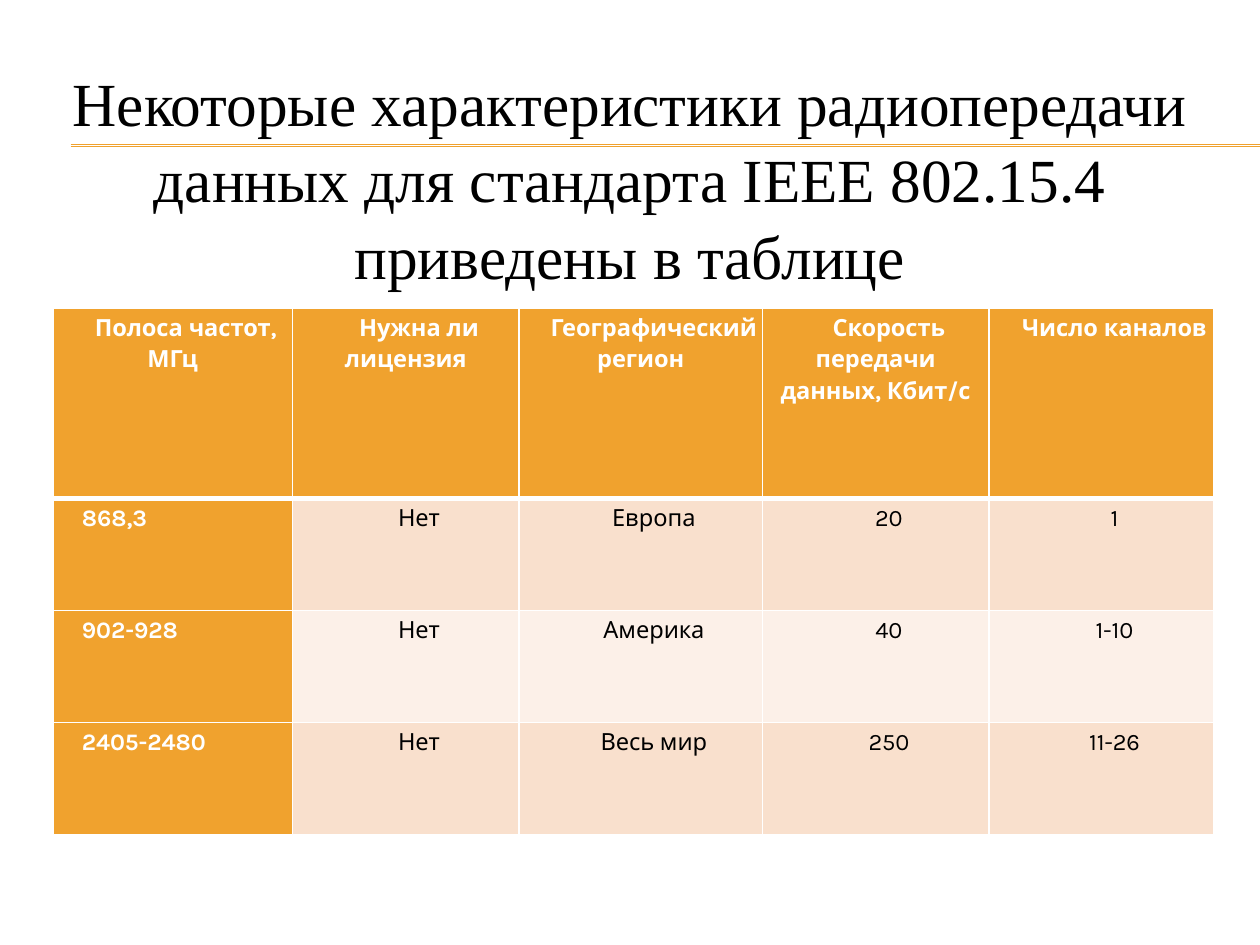
"""Build a slide with a table of IEEE 802.15.4 radio characteristics."""
from dataclasses import dataclass

from lxml.etree import SubElement
from pptx import Presentation
from pptx.dml.color import RGBColor
from pptx.enum.shapes import MSO_CONNECTOR as Connector
from pptx.enum.text import MSO_ANCHOR as Anchor, MSO_AUTO_SIZE as AutoSize, PP_ALIGN as Align
from pptx.oxml.ns import qn
from pptx.util import Inches, Pt

WIDTH, HEIGHT = Inches(10), Inches(7.5)
GOLD, WHITE, BLACK = "F0A22E", "FFFFFF", "000000"
BANDS = ("F9E0CD", "FCF0E8")
TITLE = ("Некоторые характеристики радиопередачи данных "
         "для стандарта IEEE 802.15.4 приведены в таблице")
COLUMN_WIDTHS = (1.9, 1.8, 1.93, 1.8, 1.78)
ROW_HEIGHTS = (1.51, 0.89, 0.89, 0.89)
ROWS = (
    ("Полоса частот, МГц", "Нужна ли лицензия", "Географический регион",
     "Скорость передачи данных, Кбит/с", "Число каналов"),
    ("868,3", "Нет", "Европа", "20", "1"),
    ("902-928", "Нет", "Америка", "40", "1-10"),
    ("2405-2480", "Нет", "Весь мир", "250", "11-26"),
)


@dataclass(frozen=True)
class Rule:
    left: float
    right: float
    top: float


@dataclass(frozen=True)
class CellStyle:
    fill: str
    color: str
    bold: bool
    align: Align
    bottom: float


RULES = (Rule(0.056, 1, 0.153), Rule(0.056, 1, 0.155))


def color(value: str) -> RGBColor:
    return RGBColor.from_string(value)


def across(share: float) -> int:
    return int(WIDTH * share)


def down(share: float) -> int:
    return int(HEIGHT * share)


def apply(target, values: dict) -> None:
    for name, value in values.items():
        setattr(target, name, value)


def write(paragraph, text: str, font: dict, text_color: str) -> None:
    run = paragraph.add_run()
    run.text = text
    apply(run.font, font)
    run.font.color.rgb = color(text_color)


def draw_rule(slide, rule: Rule) -> None:
    line = slide.shapes.add_connector(
        Connector.STRAIGHT, across(rule.left), down(rule.top), across(rule.right), down(rule.top))
    line.line.color.rgb = color(GOLD)
    line.line.width = Pt(0.75)
    SubElement(line._element.spPr, qn("a:effectLst"))
    slide.shapes._spTree.insert(2, line._element)


def draw_title(slide) -> None:
    title_placeholder, body = slide.placeholders
    title_placeholder._element.getparent().remove(title_placeholder._element)
    apply(body, {"left": 0, "top": down(0.059), "width": WIDTH, "height": down(0.941)})
    apply(body.text_frame, {"word_wrap": True, "auto_size": AutoSize.NONE,
                            "vertical_anchor": Anchor.TOP})
    paragraph = body.text_frame.paragraphs[0]
    apply(paragraph, {"alignment": Align.CENTER, "line_spacing": 1.04})
    properties = paragraph._p.get_or_add_pPr()
    properties.set("marL", "0")
    properties.set("indent", "0")
    SubElement(properties, qn("a:buNone"))
    write(paragraph, TITLE, {"size": Pt(35), "name": "Times New Roman"}, BLACK)


def add_border(cell, side: str, width: float) -> None:
    line = SubElement(cell._tc.get_or_add_tcPr(), qn(f"a:ln{side}"), w=str(Pt(width)))
    SubElement(SubElement(line, qn("a:solidFill")), qn("a:srgbClr"), val=WHITE)


def style_for(row: int, column: int) -> CellStyle:
    if row == 0:
        return CellStyle(GOLD, WHITE, True, Align.CENTER, 3)
    if column == 0:
        return CellStyle(GOLD, WHITE, True, Align.LEFT, 1)
    return CellStyle(BANDS[(row - 1) % 2], BLACK, False, Align.CENTER, 1)


def fill_cell(cell, text: str, style: CellStyle, top: float) -> None:
    margins = ("margin_left", "margin_right", "margin_top", "margin_bottom")
    apply(cell, dict.fromkeys(margins, Inches(0.02)))
    for side, width in {"L": 1, "R": 1, "T": top, "B": style.bottom}.items():
        add_border(cell, side, width)
    cell.fill.solid()
    cell.fill.fore_color.rgb = color(style.fill)
    paragraph = cell.text_frame.paragraphs[0]
    apply(paragraph, {"alignment": style.align, "line_spacing": 1.15})
    properties = paragraph._p.get_or_add_pPr()
    properties.set("marL", "0")
    properties.set("indent", str(Inches(0.21)))
    write(paragraph, text, {"size": Pt(13.5), "name": "Karla", "bold": style.bold}, style.color)


def draw_table(slide) -> None:
    table = slide.shapes.add_table(
        len(ROWS), len(COLUMN_WIDTHS), across(0.042), down(0.326),
        Inches(sum(COLUMN_WIDTHS)), Inches(sum(ROW_HEIGHTS))).table
    for column, width in zip(table.columns, COLUMN_WIDTHS):
        column.width = Inches(width)
    for row, height in zip(table.rows, ROW_HEIGHTS):
        row.height = Inches(height)
    for row, texts in enumerate(ROWS):
        for column, text in enumerate(texts):
            top = 3 if row == 1 else 1
            fill_cell(table.cell(row, column), text, style_for(row, column), top)


def main() -> None:
    presentation = Presentation()
    apply(presentation, {"slide_width": WIDTH, "slide_height": HEIGHT})
    slide = presentation.slides.add_slide(presentation.slide_layouts[1])
    draw_title(slide)
    draw_table(slide)
    for rule in RULES:
        draw_rule(slide, rule)
    presentation.save("out.pptx")


if __name__ == "__main__":
    main()
